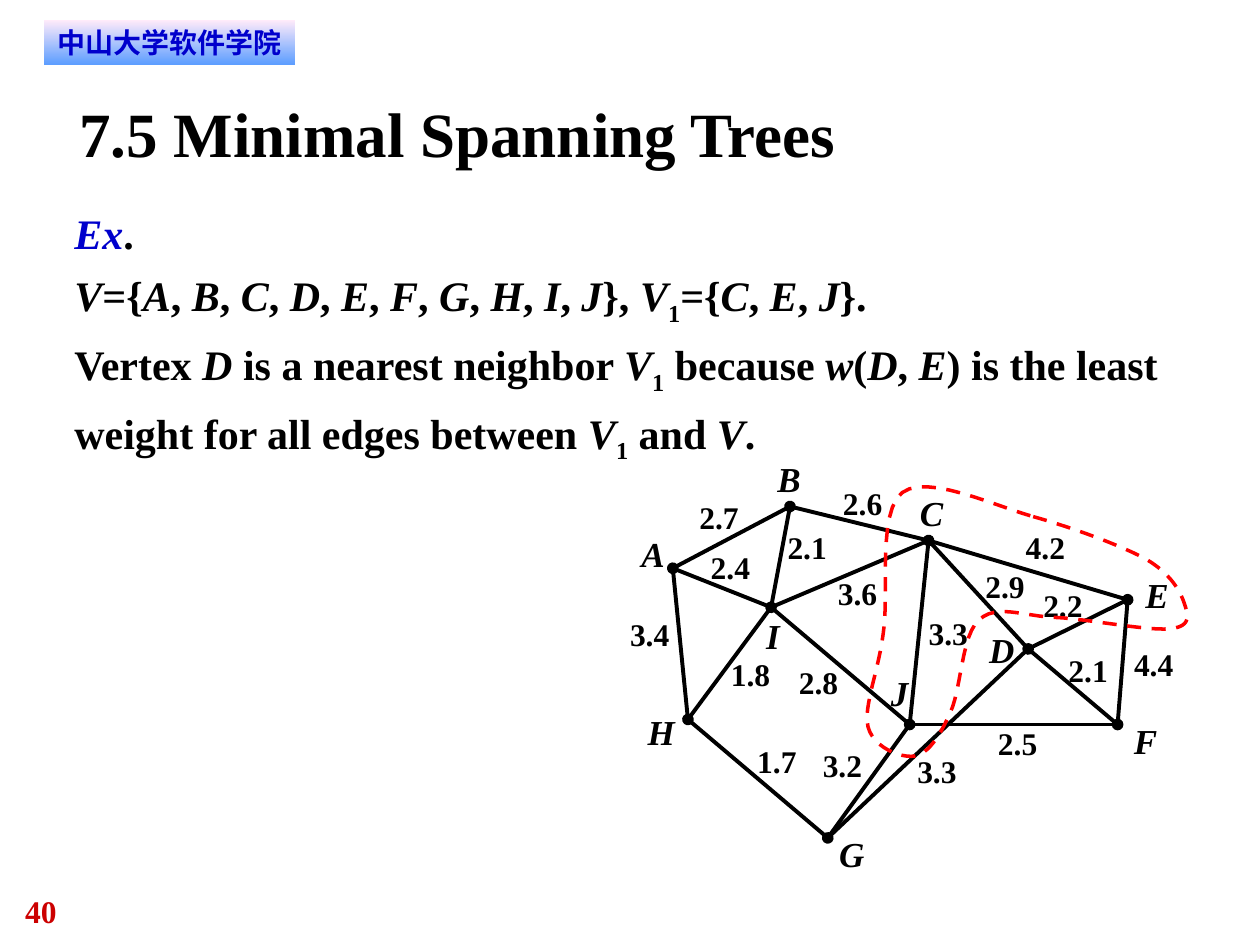
"""Build the minimal spanning tree slide with its weighted graph."""
from lxml import etree
from pptx import Presentation
from pptx.dml.color import RGBColor
from pptx.enum.dml import MSO_LINE
from pptx.enum.shapes import MSO_CONNECTOR, MSO_SHAPE
from pptx.enum.text import MSO_ANCHOR, MSO_AUTO_SIZE, PP_ALIGN
from pptx.oxml.ns import qn
from pptx.util import Inches, Pt

BLACK = RGBColor(0x00, 0x00, 0x00)
BLUE = RGBColor(0x00, 0x00, 0xCC)
NUMBER_RED = RGBColor(0xCC, 0x00, 0x00)
CURVE_RED = RGBColor(0xFF, 0x00, 0x00)
PINK = RGBColor(0xFF, 0xEB, 0xFA)
SKY = RGBColor(0x5E, 0x9E, 0xFF)
SERIF = "Times New Roman"
SANS = "DejaVu Sans"
STRAIGHT = MSO_CONNECTOR.STRAIGHT
RECTANGLE = MSO_SHAPE.RECTANGLE
DASH = MSO_LINE.DASH
TOP, MIDDLE = MSO_ANCHOR.TOP, MSO_ANCHOR.MIDDLE
NO_AUTOFIT = MSO_AUTO_SIZE.NONE
LEFT, CENTER = PP_ALIGN.LEFT, PP_ALIGN.CENTER


def style(font, size, color=BLACK, italic=False, name=SERIF):
    font.name, font.size, font.bold, font.italic = name, Pt(size), True, italic
    font.color.rgb = color


def frame(shape, box, anchor=TOP, wrap=True):
    shape.left, shape.top, shape.width, shape.height = [Inches(v) for v in box]
    tf = shape.text_frame
    tf.margin_left = tf.margin_top = tf.margin_right = tf.margin_bottom = 0
    tf.word_wrap, tf.auto_size, tf.vertical_anchor = wrap, NO_AUTOFIT, anchor
    return tf


prs = Presentation()
prs.slide_width, prs.slide_height = Inches(10), Inches(7.5)
s = prs.slides.add_slide(prs.slide_layouts[1])

banner = s.shapes.add_shape(RECTANGLE, 0, 0, 0, 0)
banner.shadow.inherit = False
banner.line.fill.background()
banner.fill.gradient()
banner.fill.gradient_angle = 270
for stop, position, color in zip(banner.fill.gradient_stops, (0, 1), (PINK, SKY)):
    stop.position, stop.color.rgb = position, color
tf = frame(banner, (0.35, 0.16, 1.99, 0.35), MIDDLE)
tf.text = "中山大学软件学院"
tf.paragraphs[0].alignment = CENTER
r = tf.paragraphs[0].runs[0]
style(r.font, 16, BLUE, name=SANS)
etree.SubElement(r.font._element, qn("a:ea")).set("typeface", SANS)

tf = frame(s.shapes.title, (0.63, 0.75, 8.75, 0.6), MIDDLE)
tf.text = "7.5 Minimal Spanning Trees"
tf.paragraphs[0].alignment = LEFT
style(tf.paragraphs[0].runs[0].font, 36)

# Asterisks enclose italics and underscores enclose subscripts.
BODY = [
    "*Ex*.",
    "*V*={*A*, *B*, *C*, *D*, *E*, *F*, *G*, *H*, *I*, *J*}, *V*_1_={*C*, *E*, *J*}.",
    "Vertex *D* is a nearest neighbor *V*_1_ because *w*(*D*, *E*) is the least "
    "weight for all edges between *V*_1_ and *V*.",
]
tf = frame(s.placeholders[1], (0.59, 1.57, 8.95, 2.12))
for n, line in enumerate(BODY):
    p = tf.paragraphs[0] if n == 0 else tf.add_paragraph()
    p.alignment, p.line_spacing, p.space_before = LEFT, 1.2, Pt(0)
    pPr = p._p.get_or_add_pPr()
    pPr.set("marL", "0")
    pPr.set("indent", "0")
    etree.SubElement(pPr, qn("a:buNone"))
    for i, part in enumerate(line.split("*")):
        for j, piece in enumerate(part.split("_")):
            if piece:
                r = p.add_run()
                r.text = piece
                style(r.font, 24, BLUE if piece == "Ex" else BLACK, i % 2 == 1)
                if j % 2:
                    r.font._element.set("baseline", "-25000")

NODES = {
    "A": (5.34, 4.51), "B": (6.27, 4.02), "C": (7.37, 4.29), "D": (8.16, 5.15),
    "E": (8.95, 4.76), "F": (8.87, 5.75), "G": (6.57, 6.65), "H": (5.46, 5.71),
    "I": (6.12, 4.82), "J": (7.22, 5.75),
}
DOTTED_EDGES = ["ED", "JF", "BC", "AI", "HG"]
PLAIN_EDGES = ["CD", "CE", "DF", "EF", "CJ", "BI", "CI", "IJ", "BA", "AH",
               "IH", "JG", "DG"]
for edge in DOTTED_EDGES + PLAIN_EDGES:
    ends = [Inches(v) for node in edge for v in NODES[node]]
    connector = s.shapes.add_connector(STRAIGHT, *ends)
    connector.line.color.rgb, connector.line.width = BLACK, Pt(2.25)
    if edge in DOTTED_EDGES:
        for tag in ("a:headEnd", "a:tailEnd"):
            etree.SubElement(connector.line._get_or_add_ln(), qn(tag)).set("type", "oval")
    etree.SubElement(connector._element.spPr, qn("a:effectLst"))

NODE_LABELS = [
    ("A", 5.09, 4.23), ("B", 6.17, 3.63), ("C", 7.3, 3.9), ("D", 7.85, 4.99),
    ("E", 9.09, 4.55), ("F", 9, 5.71), ("G", 6.66, 6.61), ("H", 5.14, 5.64),
    ("I", 6.08, 4.88), ("J", 7.07, 5.33),
]
WEIGHTS = [
    ("2.7", 5.55, 3.95), ("2.4", 5.64, 4.35), ("3.4", 5, 4.88), ("1.8", 5.8, 5.2),
    ("2.1", 6.25, 4.19), ("2.6", 6.69, 3.84), ("3.6", 6.65, 4.56), ("2.8", 6.34, 5.26),
    ("1.7", 6.01, 5.89), ("3.2", 6.53, 5.92), ("3.3", 7.28, 5.97), ("3.3", 7.37, 4.87),
    ("2.5", 7.92, 5.75), ("4.2", 8.14, 4.19), ("2.9", 7.82, 4.5), ("2.1", 8.48, 5.17),
    ("4.4", 9, 5.12), ("2.2", 8.28, 4.65),
]
NARROW = {"I": 0.11, "J": 0.14}
labels = [(t, x, y, NARROW.get(t, 0.2), 0.33, 20, BLACK, True) for t, x, y in NODE_LABELS]
labels += [(t, x, y, 0.31, 0.3, 18, BLACK, False) for t, x, y in WEIGHTS]
labels.append(("40", 0.2, 7.08, 0.75, 0.3, 18, NUMBER_RED, False))
for text, x, y, width, height, size, color, italic in labels:
    tf = frame(s.shapes.add_textbox(0, 0, 0, 0), (x, y, width, height), wrap=False)
    tf.text = text
    tf.paragraphs[0].alignment = LEFT
    style(tf.paragraphs[0].runs[0].font, size, color, italic)

CURVE_START = (8.2, 4.1)
CURVE = [
    ((8.52, 4.19), (8.9, 4.33), (9.1, 4.44)), ((9.3, 4.56), (9.37, 4.7), (9.4, 4.79)),
    ((9.43, 4.88), (9.46, 4.97), (9.29, 4.99)), ((9.11, 5.01), (8.62, 4.91), (8.37, 4.9)),
    ((8.12, 4.89), (7.91, 4.79), (7.77, 4.92)), ((7.63, 5.04), (7.63, 5.48), (7.54, 5.66)),
    ((7.46, 5.84), (7.37, 5.98), (7.26, 6)), ((7.15, 6.02), (6.93, 5.93), (6.89, 5.77)),
    ((6.85, 5.61), (6.97, 5.34), (7.01, 5.03)), ((7.06, 4.72), (6.96, 4.07), (7.16, 3.91)),
    ((7.36, 3.76), (7.88, 4.01), (8.2, 4.1)),
]
STEPS = 12
start, points = CURVE_START, []
for c1, c2, end in CURVE:
    for step in range(1, STEPS + 1):
        t = step / STEPS
        factors = ((1 - t) ** 3, 3 * t * (1 - t) ** 2, 3 * t ** 2 * (1 - t), t ** 3)
        points.append([Inches(sum(f * v for f, v in zip(factors, axis)))
                       for axis in zip(start, c1, c2, end)])
    start = end
builder = s.shapes.build_freeform(*[Inches(v) for v in CURVE_START])
builder.add_line_segments(points, close=True)
boundary = builder.convert_to_shape()
boundary.shadow.inherit = False
boundary.fill.background()
boundary.line.color.rgb, boundary.line.width = CURVE_RED, Pt(2)
boundary.line.dash_style = DASH

prs.save("out.pptx")
